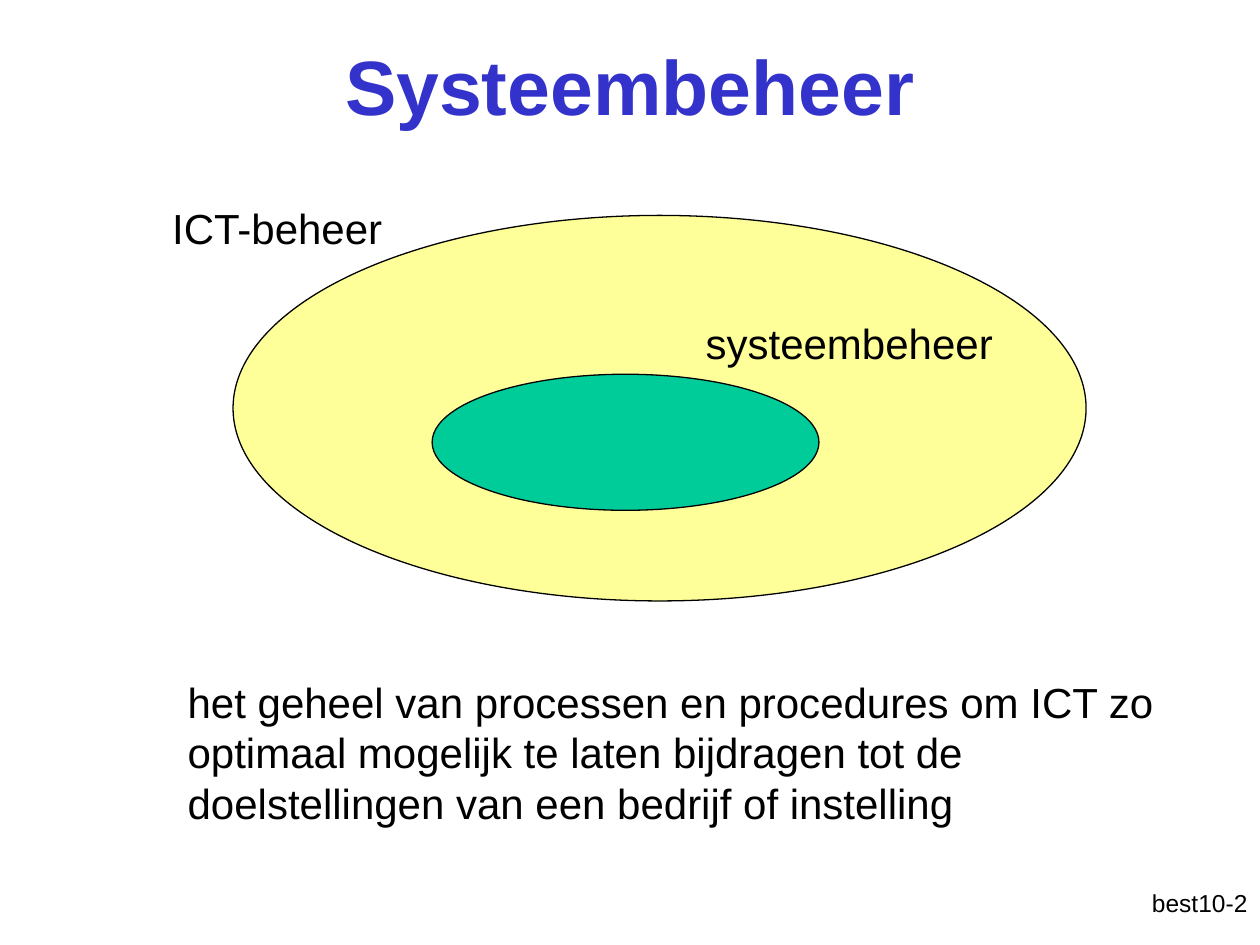
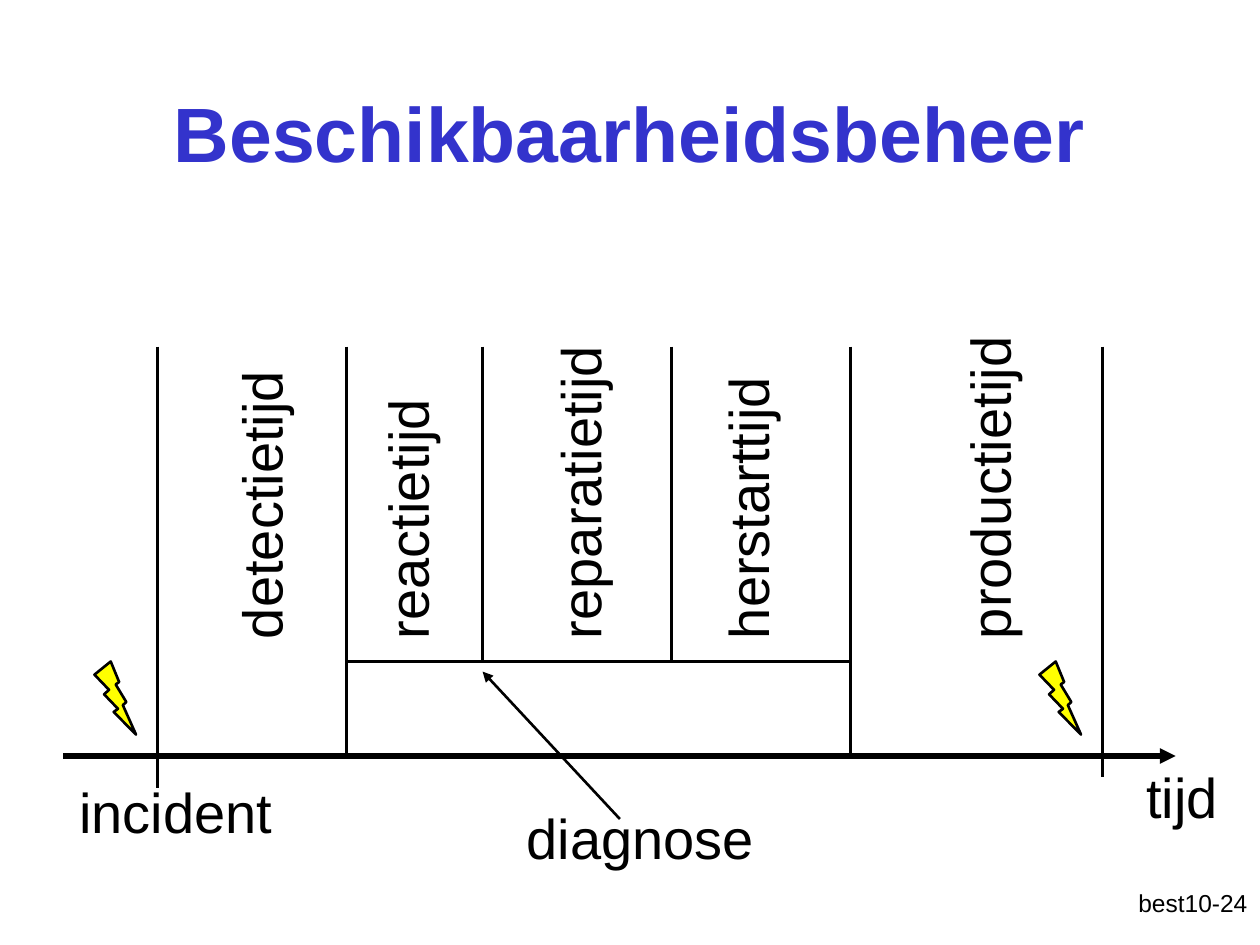
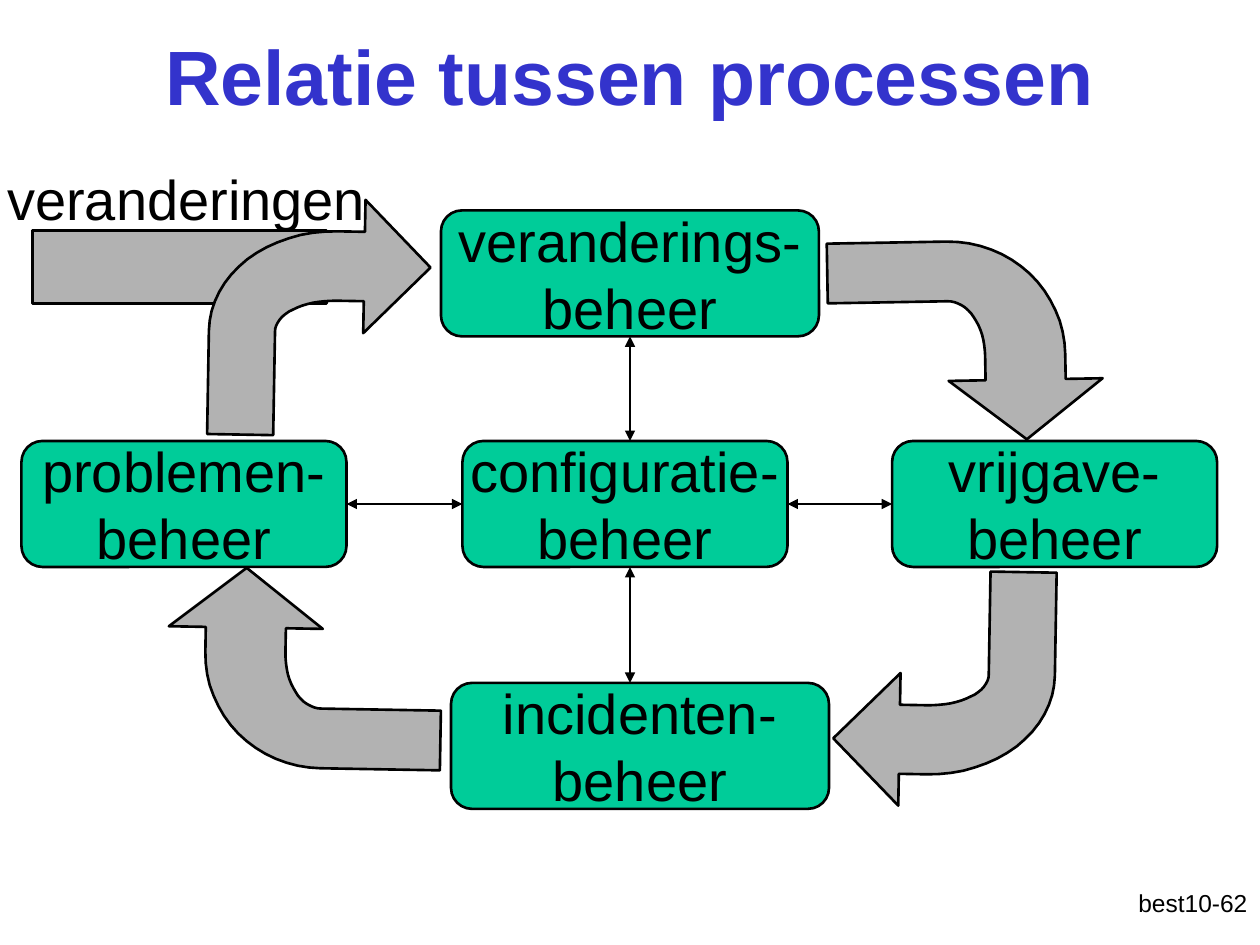
from math import cos, pi, sin

from lxml import etree
from pptx import Presentation
from pptx.dml.color import RGBColor
from pptx.enum.shapes import MSO_CONNECTOR, MSO_SHAPE
from pptx.enum.text import MSO_ANCHOR, MSO_AUTO_SIZE, PP_ALIGN
from pptx.oxml.ns import qn
from pptx.util import Inches, Pt

LEFT, CENTER, RIGHT = PP_ALIGN.LEFT, PP_ALIGN.CENTER, PP_ALIGN.RIGHT
TOP, MIDDLE = MSO_ANCHOR.TOP, MSO_ANCHOR.MIDDLE
ELLIPSE, BOLT = MSO_SHAPE.OVAL, MSO_SHAPE.LIGHTNING_BOLT
RECTANGLE, ROUNDED = MSO_SHAPE.RECTANGLE, MSO_SHAPE.ROUNDED_RECTANGLE
STRAIGHT = MSO_CONNECTOR.STRAIGHT
TOP_SIDE, LEFT_SIDE, BOTTOM_SIDE, RIGHT_SIDE = range(4)

FONT = "Arial"
BLACK, BLUE, GREEN = "000000", "3333CC", "00CC99"
PALE_YELLOW, YELLOW, GREY = "FFFF99", "FFFF00", "B2B2B2"

# Systeembeheer
DEFINITION = ("het geheel van processen en procedures om ICT zo optimaal mogelijk "
              "te laten bijdragen tot de doelstellingen van een bedrijf of instelling")

# Beschikbaarheidsbeheer
AXIS_Y, MARKS_TOP, REPAIR_Y = 6, 2.75, 5.25
MARKS = [(1.25, 6.25), (2.75, AXIS_Y), (3.83, REPAIR_Y),
         (5.33, REPAIR_Y), (6.75, AXIS_Y), (8.75, 6.17)]  # x, bottom
PERIODS = [("detectietijd", 2.07), ("reactietijd", 3.23), ("reparatietijd", 4.6),
           ("herstarttijd", 5.93), ("productietijd", 7.85)]  # label, centre x
PERIOD_LENGTH, LABEL_HEIGHT, PERIOD_TOP = 3.08, 0.64, 3.31
MOMENTS = [("tijd", 9, 6, 1.08), ("incident", 0.53, 6.12, 1.75),
           ("diagnose", 4.08, 6.33, 2.58)]  # label, left, top, width
INCIDENTS_X = [0.75, 8.25]

# Relatie tussen processen
PROCESSES = {"veranderings": (3.5, 1.67, 3), "vrijgave": (7.08, 3.5, 2.58),
             "incidenten": (3.58, 5.42, 3), "problemen": (0.17, 3.5, 2.58),
             "configuratie": (3.67, 3.5, 2.58)}  # left, top, width
PROCESS_HEIGHT = 1
FLOWS = [((6.87, 1.62, 1.58, 2.17), 89), ((1.63, 4.22, 1.58, 2.17), 271),
         ((1.66, 1.58, 1.75, 1.88), 1), ((6.62, 4.53, 1.75, 1.87), 181)]  # box, rotation
FLOW_GRID = 1000


def rgb(color):
    return RGBColor.from_string(color)


def write(shape, text, size, align=LEFT, anchor=TOP, color=BLACK, bold=False,
          wrap=True, side_inset=0.1):
    frame = shape.text_frame
    frame.text = text
    frame.auto_size = MSO_AUTO_SIZE.NONE
    frame.word_wrap = wrap
    frame.vertical_anchor = anchor
    frame.margin_left = frame.margin_right = Inches(side_inset)
    frame.margin_top = frame.margin_bottom = Inches(0.05)
    for paragraph in frame.paragraphs:
        paragraph.alignment = align
        for run in paragraph.runs:
            run.font.name, run.font.size, run.font.bold = FONT, Pt(size), bold
            run.font.color.rgb = rgb(color)


def add_label(slide, box, text, size, rotation=0, **style):
    label = slide.shapes.add_textbox(*map(Inches, box))
    label.rotation = rotation
    write(label, text, size, **style)


def paint(shape, fill, line_width):
    shape.shadow.inherit = False
    shape.fill.solid()
    shape.fill.fore_color.rgb = rgb(fill)
    shape.line.color.rgb = rgb(BLACK)
    shape.line.width = Pt(line_width)


def add_figure(slide, kind, box, fill, line_width=1.5):
    figure = slide.shapes.add_shape(kind, *map(Inches, box))
    paint(figure, fill, line_width)
    return figure


def add_line(slide, start, end, width=1.5, heads=()):
    """Draw a line; heads may hold "headEnd" (start) and "tailEnd" (end)."""
    line = slide.shapes.add_connector(STRAIGHT, *map(Inches, start + end))
    line.line.color.rgb = rgb(BLACK)
    line.line.width = Pt(width)
    outline = line.line._get_or_add_ln()
    for head in heads:
        etree.SubElement(outline, qn("a:" + head), type="triangle")
    etree.SubElement(line._element.spPr, qn("a:effectLst"))
    return line


def quarter_arc(radius_x, radius_y, steps=16):
    """Points on the flow's bend, from its top round to its left."""
    angles = [pi / 2 * step / steps for step in range(steps + 1)]
    return [(575 - radius_x * sin(a), 563 - radius_y * cos(a)) for a in angles]


def add_flow(slide, box, rotation):
    """Draw a bent block arrow that rises from the lower left and points right."""
    left, top, width, height = map(Inches, box)
    outline = [(1000, 281), (700, 0), (700, 135), *quarter_arc(575, 428),
               (0, 1000), (300, 1000), *reversed(quarter_arc(275, 135)),
               (700, 428), (700, 563)]
    builder = slide.shapes.build_freeform(
        *outline[0], scale=(width / FLOW_GRID, height / FLOW_GRID))
    builder.add_line_segments(outline[1:], close=True)
    flow = builder.convert_to_shape(left, top)
    flow.rotation = rotation
    paint(flow, GREY, 1.5)


def add_slide(deck, title, title_top, number):
    slide = deck.slides.add_slide(deck.slide_layouts[5])
    heading = slide.shapes.title
    heading.left, heading.top = Inches(0.75), Inches(title_top)
    heading.width, heading.height = Inches(8.5), Inches(1.25)
    write(heading, title, 44, CENTER, MIDDLE, BLUE, bold=True)
    add_label(slide, (7.92, 7, 2.08, 0.5), f"best10-{number}", 14, align=RIGHT)
    return slide


def build_system_management(deck):
    slide = add_slide(deck, "Systeembeheer", 0.05, 2)
    add_figure(slide, ELLIPSE, (1.85, 1.71, 6.77, 3.06), PALE_YELLOW, 0.75)
    add_figure(slide, ELLIPSE, (3.43, 2.97, 3.07, 1.08), GREEN, 0.75)
    add_label(slide, (4.69, 2.47, 4.1, 0.51), "systeembeheer", 24,
              align=CENTER, side_inset=0.11)
    add_label(slide, (1.25, 1.56, 1.9, 0.51), "ICT-beheer", 24,
              align=CENTER, wrap=False, side_inset=0.11)
    add_label(slide, (1.38, 5.32, 8.03, 1.31), DEFINITION, 24, side_inset=0.11)


def build_availability(deck):
    slide = add_slide(deck, "Beschikbaarheidsbeheer", 0.42, 24)
    add_line(slide, (0.5, AXIS_Y), (9.33, AXIS_Y), 3, ["tailEnd"])
    for x, bottom in MARKS:
        add_line(slide, (x, MARKS_TOP), (x, bottom))
    add_line(slide, (2.75, REPAIR_Y), (6.75, REPAIR_Y))
    add_line(slide, (4.92, 6.5), (3.83, 5.33), heads=["tailEnd"])
    for x in INCIDENTS_X:
        add_figure(slide, BOLT, (x, REPAIR_Y, 0.33, 0.58), YELLOW)
    for period, center in PERIODS:
        box = (center - PERIOD_LENGTH / 2, PERIOD_TOP, PERIOD_LENGTH, LABEL_HEIGHT)
        add_label(slide, box, period, 32, rotation=270)
    for moment, left, top, width in MOMENTS:
        add_label(slide, (left, top, width, LABEL_HEIGHT), moment, 32)


def build_process_relations(deck):
    slide = add_slide(deck, "Relatie tussen processen", -0.03, 62)
    add_figure(slide, RECTANGLE, (0.26, 1.83, 2.33, 0.58), GREY)

    boxes = {}
    for process, place in PROCESSES.items():
        box = add_figure(slide, ROUNDED, (*place, PROCESS_HEIGHT), GREEN)
        write(box, f"{process}-\nbeheer", 32, CENTER, MIDDLE, wrap=False)
        boxes[process] = box

    for place, rotation in FLOWS:
        add_flow(slide, place, rotation)

    both = ["headEnd", "tailEnd"]
    from_changes = add_line(slide, (5, 2.67), (5, 3.5), heads=both)
    from_changes.begin_connect(boxes["veranderings"], BOTTOM_SIDE)
    add_line(slide, (5, 4.5), (5, 5.42), heads=both)
    for start, end, x1, x2 in [("configuratie", "vrijgave", 6.25, 7.08),
                               ("problemen", "configuratie", 2.75, 3.67)]:
        link = add_line(slide, (x1, 4), (x2, 4), heads=both)
        link.begin_connect(boxes[start], RIGHT_SIDE)
        link.end_connect(boxes[end], LEFT_SIDE)

    add_label(slide, (-0.04, 1.25, 3.04, 0.64), "veranderingen", 32,
              align=CENTER, anchor=MIDDLE, wrap=False)


def main():
    deck = Presentation()
    deck.slide_width, deck.slide_height = Inches(10), Inches(7.5)
    build_system_management(deck)
    build_availability(deck)
    build_process_relations(deck)
    deck.save("out.pptx")


if __name__ == "__main__":
    main()
